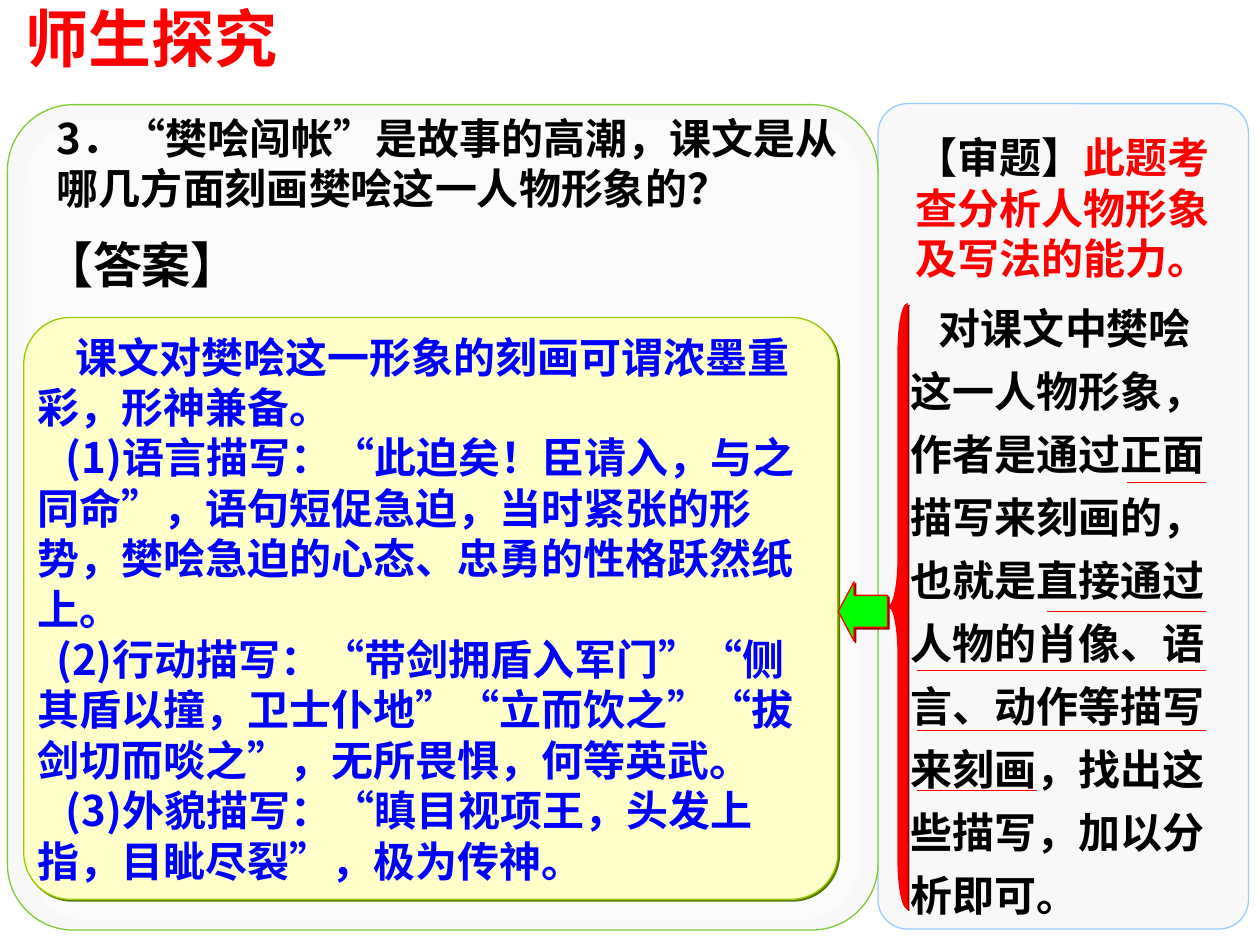
from lxml import etree
from pptx import Presentation
from pptx.dml.color import RGBColor
from pptx.enum.shapes import MSO_CONNECTOR, MSO_SHAPE
from pptx.enum.text import MSO_ANCHOR, PP_ALIGN
from pptx.oxml.ns import qn
from pptx.util import Cm, Pt

ROUNDED = MSO_SHAPE.ROUNDED_RECTANGLE
LEFT_BRACE = MSO_SHAPE.LEFT_BRACE
LEFT_ARROW = MSO_SHAPE.LEFT_ARROW
STRAIGHT = MSO_CONNECTOR.STRAIGHT
TOP, MIDDLE = MSO_ANCHOR.TOP, MSO_ANCHOR.MIDDLE
LEFT = PP_ALIGN.LEFT

CJK_FONT = "Noto Sans CJK SC"
LATIN_FONT = "Arial"
RED, BLACK, BLUE = "FF0000", "000000", "0000FF"
PANEL, DARK_RED = "F8F8F8", "980000"
PADDING = (0.25, 0.13)
UNDERLINE_RIGHT = 24.31

ANSWERS = [
    (0.76, "课文对樊哙这一形象的刻画可谓浓墨重彩，形神兼备。"),
    (0.57, "(1)语言描写：“此迫矣！臣请入，与之同命”，语句短促急迫，"
           "当时紧张的形势，樊哙急迫的心态、忠勇的性格跃然纸上。"),
    (0.38, "(2)行动描写：“带剑拥盾入军门”“侧其盾以撞，卫士仆地”"
           "“立而饮之”“拔剑切而啖之”，无所畏惧，何等英武。"),
    (0.57, "(3)外貌描写：“瞋目视项王，头发上指，目眦尽裂”，极为传神。"),
]
GUIDANCE = ("对课文中樊哙这一人物形象，作者是通过正面描写来刻画的，也就是直接通过"
            "人物的肖像、语言、动作等描写来刻画，找出这些描写，加以分析即可。")
UNDERLINES = [
    (22.71, UNDERLINE_RIGHT, 9.73),
    (21.11, UNDERLINE_RIGHT, 12.32),
    (18.49, UNDERLINE_RIGHT, 13.51),
    (18.49, UNDERLINE_RIGHT, 14.73),
    (18.49, 20.9, 15.93),
]


def rgb(value):
    return RGBColor.from_string(value)


def shadow_effect(color, distance=1.4):
    """Return an effect list with one hard shadow to the lower right."""
    effects = etree.Element(qn("a:effectLst"))
    shadow = etree.SubElement(effects, qn("a:outerShdw"), blurRad="0",
                              dist=str(Pt(distance)), dir="2700000", algn="ctr")
    etree.SubElement(shadow, qn("a:srgbClr"), val=color)
    return effects


def add_panel(slide, kind, place, fill, line=None, adjust=(0.08,), shadow=None, alpha=None):
    panel = slide.shapes.add_shape(kind, *map(Cm, place))
    for index, value in enumerate(adjust):
        panel.adjustments[index] = value
    panel.shadow.inherit = False
    panel.fill.solid()
    panel.fill.fore_color.rgb = rgb(fill)
    properties = panel._element.spPr
    if alpha:
        color = properties.find(qn("a:solidFill")).find(qn("a:srgbClr"))
        etree.SubElement(color, qn("a:alpha"), val=str(alpha * 1000))
    if line:
        panel.line.color.rgb = rgb(line)
        panel.line.width = Pt(0.75)
    else:
        panel.line.fill.background()
    if shadow:
        properties.replace(properties.find(qn("a:effectLst")), shadow_effect(shadow))
    return panel


def set_frame(shape, padding=(0, 0), anchor=TOP):
    frame = shape.text_frame
    frame.word_wrap = True
    frame.vertical_anchor = anchor
    frame.margin_left = frame.margin_right = Cm(padding[0])
    frame.margin_top = frame.margin_bottom = Cm(padding[1])
    return frame


def format_paragraph(para, size, color=None, latin=LATIN_FONT, indent=0):
    para.alignment = LEFT
    properties = para._p.get_or_add_pPr()
    properties.set("marL", "0")
    properties.set("indent", str(Cm(indent)))
    properties.set("hangingPunct", "0")
    font = para.font
    font.size = Pt(size)
    font.bold = True
    font.name = latin
    if color:
        font.color.rgb = rgb(color)
    latin_element = properties.find(qn("a:defRPr")).find(qn("a:latin"))
    latin_element.addnext(etree.Element(qn("a:ea"), typeface=CJK_FONT))


def add_text(slide, place, spans, size, padding=(0, 0), anchor=TOP,
             latin=LATIN_FONT, indent=0, line_spacing=None):
    """Add a one-paragraph box of shadowed text; spans are pairs of text and colour."""
    box = slide.shapes.add_textbox(*map(Cm, place))
    para = set_frame(box, padding, anchor).paragraphs[0]
    common = spans[0][1] if len(spans) == 1 else None
    format_paragraph(para, size, common, latin, indent)
    if line_spacing:
        para.line_spacing = line_spacing
    for text, color in spans:
        span = para.add_run()
        span.text = text
        if not common:
            span.font.color.rgb = rgb(color)
        span._r.get_or_add_rPr().append(shadow_effect("808080"))


def add_answers(slide):
    panel = add_panel(slide, ROUNDED, (0.48, 6.4, 16.41, 11.73), "FFFFC9",
                      "99CC00", shadow="5B7900")
    frame = set_frame(panel, anchor=MIDDLE)
    for index, (indent, text) in enumerate(ANSWERS):
        para = frame.add_paragraph() if index else frame.paragraphs[0]
        para.text = text
        format_paragraph(para, 24, BLUE, CJK_FONT, indent)


def add_underline(slide, left, right, y):
    line = slide.shapes.add_connector(STRAIGHT, Cm(left), Cm(y), Cm(right), Cm(y))
    line.line.color.rgb = rgb(RED)
    line.line.width = Pt(0.75)
    etree.SubElement(line._element.spPr, qn("a:effectLst"))


def main():
    deck = Presentation()
    deck.slide_width, deck.slide_height = Cm(25.4), Cm(19.05)
    slide = deck.slides.add_slide(deck.slide_layouts[6])

    add_panel(slide, ROUNDED, (17.7, 2.09, 7.47, 16.64), PANEL, "99CCFF")
    add_panel(slide, ROUNDED, (0.15, 2.11, 17.55, 16.64), PANEL, "80CB35")
    add_panel(slide, ROUNDED, (0.51, 2.39, 16.84, 16.18), "FFFFFF", alpha=50)

    add_text(slide, (0.51, 0, 8.51, 1.52), [("师生探究", RED)], 36)
    add_text(slide, (0.9, 2.13, 16.41, 2.29),
             [("3．“樊哙闯帐”是故事的高潮，课文是从哪几方面刻画樊哙这一人物形象的？", BLACK)],
             24, PADDING, MIDDLE, CJK_FONT)
    add_answers(slide)
    add_text(slide, (18.11, 5.72, 6.81, 12.95), [(GUIDANCE, BLACK)], 24, PADDING,
             indent=0.57, line_spacing=1.25)
    add_text(slide, (18.2, 2.53, 7.2, 3.3),
             [("【审题】", BLACK), ("此题考查分析人物形象及写法的能力。", RED)], 24, PADDING)
    for underline in UNDERLINES:
        add_underline(slide, *underline)
    add_panel(slide, LEFT_BRACE, (17.91, 6.12, 0.39, 12.2), RED, RED, (2.5, 0.5), DARK_RED)
    add_panel(slide, LEFT_ARROW, (16.9, 11.73, 0.99, 1.19), "00FF00", RED,
              (0.54, 0.32), DARK_RED)
    add_text(slide, (0.89, 4.72, 4.19, 1.19), [("【答案】", BLACK)], 28)

    deck.save("out.pptx")


if __name__ == "__main__":
    main()
